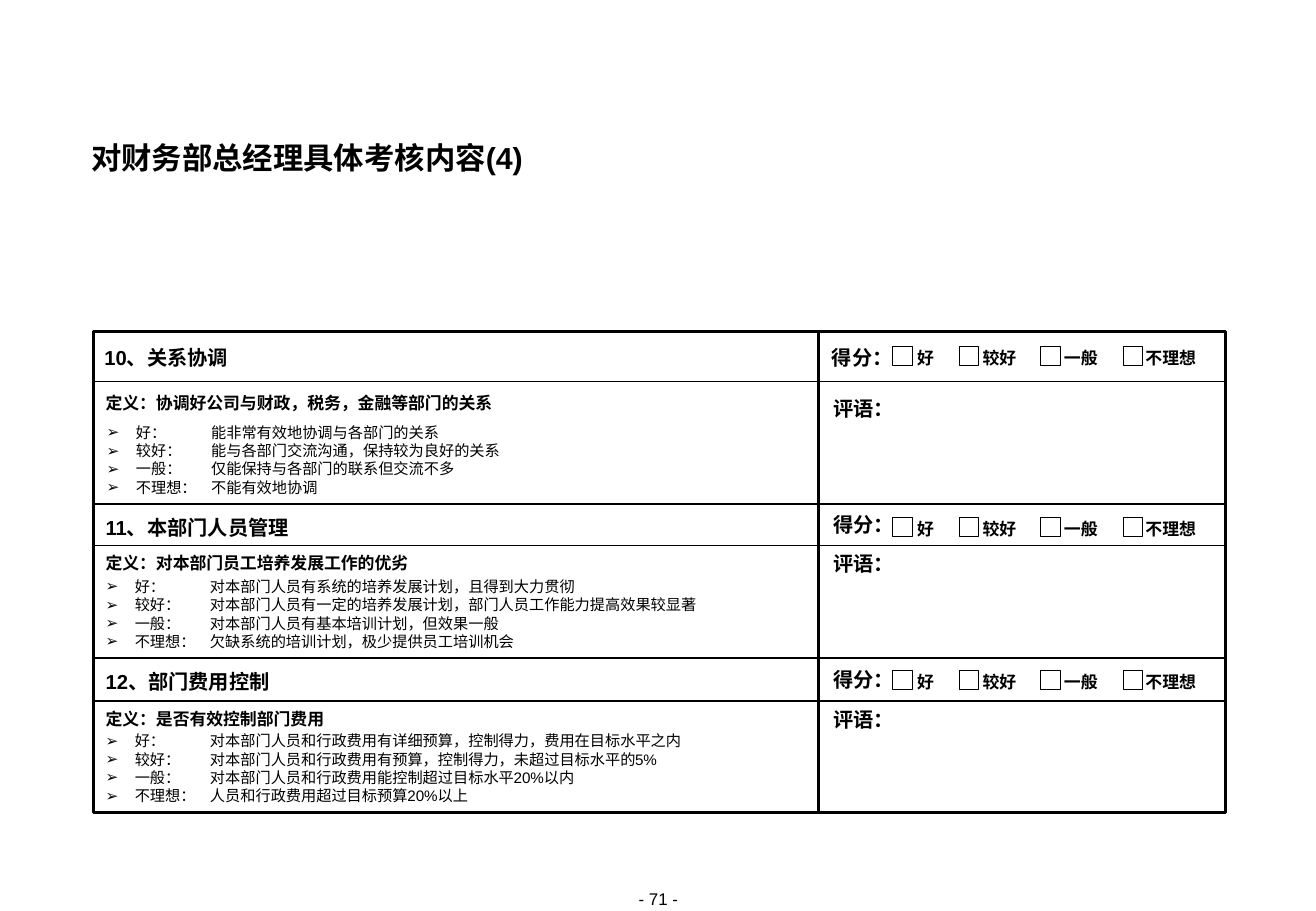
from dataclasses import dataclass
from typing import Optional, Union

from lxml.etree import SubElement
from pptx import Presentation
from pptx.dml.color import RGBColor
from pptx.enum.shapes import MSO_CONNECTOR as Connector, MSO_SHAPE as Preset
from pptx.enum.text import MSO_ANCHOR as Anchor, MSO_AUTO_SIZE as AutoSize, PP_ALIGN as Align
from pptx.oxml.ns import qn
from pptx.shapes.shapetree import GroupShapes, SlideShapes
from pptx.text.text import _Paragraph as Paragraph
from pptx.util import Pt

Shapes = Union[SlideShapes, GroupShapes]

BLACK = "000000"
WHITE = "FFFFFF"
FRAME_LEFT, FRAME_TOP, FRAME_WIDTH, FRAME_HEIGHT = 55.4, 196.6, 671, 285.1
DIVIDER_LEFT = 485.3
ROW_LINES = (226.1, 298.8, 323.3, 390.2, 415.4)
BOX_SIZE = 11.5


@dataclass(frozen=True)
class ScoreOption:
    label: str
    box_left: float
    label_left: float


@dataclass(frozen=True)
class Section:
    heading: str
    definition: str
    descriptions: tuple[str, str, str, str]
    heading_left: float
    heading_top: float
    score_left: float
    score_top: float
    boxes_top: float
    definition_top: float
    comment_top: float
    levels_left: float
    levels_top: float


OPTIONS = (
    ScoreOption("好", 529.2, 543.6),
    ScoreOption("较好", 568.8, 582.5),
    ScoreOption("一般", 617, 630.7),
    ScoreOption("不理想", 666, 679),
)

SECTIONS = (
    Section(
        "10、关系协调",
        "定义：协调好公司与财政，税务，金融等部门的关系",
        (
            "能非常有效地协调与各部门的关系",
            "能与各部门交流沟通，保持较为良好的关系",
            "仅能保持与各部门的联系但交流不多",
            "不能有效地协调",
        ),
        61.9, 204.5, 493.2, 204.5, 205.2, 232.6, 235.4, 62.6, 252,
    ),
    Section(
        "11、本部门人员管理",
        "定义：对本部门员工培养发展工作的优劣",
        (
            "对本部门人员有系统的培养发展计划，且得到大力贯彻",
            "对本部门人员有一定的培养发展计划，部门人员工作能力提高效果较显著",
            "对本部门人员有基本培训计划，但效果一般",
            "欠缺系统的培训计划，极少提供员工培训机会",
        ),
        62.6, 305.3, 493.9, 303.8, 306.7, 327.6, 327.6, 61.9, 343.4,
    ),
    Section(
        "12、部门费用控制",
        "定义：是否有效控制部门费用",
        (
            "对本部门人员和行政费用有详细预算，控制得力，费用在目标水平之内",
            "对本部门人员和行政费用有预算，控制得力，未超过目标水平的5%",
            "对本部门人员和行政费用能控制超过目标水平20%以内",
            "人员和行政费用超过目标预算20%以上",
        ),
        62.6, 396.7, 493.9, 395.3, 397.4, 419.8, 419.8, 61.9, 434.9,
    ),
)


def color(value: str) -> RGBColor:
    return RGBColor.from_string(value)


def add_bullet(paragraph: Paragraph) -> None:
    properties = paragraph._p.get_or_add_pPr()
    properties.set("marL", str(Pt(18)))
    properties.set("indent", str(Pt(-17.3)))
    bullet_color = SubElement(properties, qn("a:buClr"))
    SubElement(bullet_color, qn("a:srgbClr"), val=BLACK)
    SubElement(properties, qn("a:buFont"), typeface="Arial")
    SubElement(properties, qn("a:buChar"), char="➢")
    tabs = SubElement(properties, qn("a:tabLst"))
    SubElement(tabs, qn("a:tab"), pos=str(Pt(62.6)), algn="l")


def add_text(
    shapes: Shapes, text: str, left: float, top: float, width: float, height: float, *,
    size: float = 12, bold: bool = True, align: Align = Align.LEFT,
    anchor: Anchor = Anchor.TOP, wrap: bool = True, line_spacing: Optional[float] = None,
    space_before: float = 0, bullets: bool = False,
) -> None:
    frame = shapes.add_textbox(Pt(left), Pt(top), Pt(width), Pt(height)).text_frame
    frame.margin_left = frame.margin_top = frame.margin_right = frame.margin_bottom = 0
    frame.word_wrap = wrap
    frame.auto_size = AutoSize.SHAPE_TO_FIT_TEXT
    frame.vertical_anchor = anchor
    for index, line in enumerate(text.split("\n")):
        paragraph = frame.add_paragraph() if index else frame.paragraphs[0]
        paragraph.alignment = align
        if line_spacing is not None:
            paragraph.line_spacing = line_spacing
        if index:
            paragraph.space_before = Pt(space_before)
        if bullets:
            add_bullet(paragraph)
        run = paragraph.add_run()
        run.text = line
        run.font.name = "Arial"
        run.font.size = Pt(size)
        run.font.bold = bold
        run.font.color.rgb = color(BLACK)
        run._r.get_or_add_rPr().set("lang", "zh-CN")


def add_centered_label(
    shapes: Shapes, text: str, left: float, top: float, width: float, size: float
) -> None:
    add_text(shapes, text, left, top, width, 13.7, size=size, align=Align.CENTER,
             anchor=Anchor.MIDDLE, wrap=False, line_spacing=Pt(14))


def add_rectangle(
    shapes: Shapes, left: float, top: float, width: float, height: float,
    line_width: float, fill: Optional[str] = None,
) -> None:
    shape = shapes.add_shape(Preset.RECTANGLE, Pt(left), Pt(top), Pt(width), Pt(height))
    shape.shadow.inherit = False
    if fill is None:
        shape.fill.background()
    else:
        shape.fill.solid()
        shape.fill.fore_color.rgb = color(fill)
    shape.line.color.rgb = color(BLACK)
    shape.line.width = Pt(line_width)


def add_line(
    shapes: Shapes, x1: float, y1: float, x2: float, y2: float, width: float
) -> None:
    line = shapes.add_connector(Connector.STRAIGHT, Pt(x1), Pt(y1), Pt(x2), Pt(y2))
    line.line.color.rgb = color(BLACK)
    line.line.width = Pt(width)
    SubElement(line._element.spPr, qn("a:effectLst"))


def add_grid(shapes: SlideShapes) -> None:
    outline = shapes.add_group_shape().shapes
    add_rectangle(outline, FRAME_LEFT, FRAME_TOP, FRAME_WIDTH, FRAME_HEIGHT, 1.5)
    add_line(outline, DIVIDER_LEFT, FRAME_TOP, DIVIDER_LEFT, FRAME_TOP + FRAME_HEIGHT, 1.5)
    for y in ROW_LINES:
        add_line(shapes, FRAME_LEFT, y, FRAME_LEFT + FRAME_WIDTH, y, 1)


def add_section(shapes: SlideShapes, section: Section) -> None:
    add_text(shapes, section.heading, section.heading_left, section.heading_top, 272, 14.4)
    add_text(shapes, section.definition, 62.6, section.definition_top, 413.3, 12.2, size=10)
    levels = "\n".join(
        f"{option.label}：\t{description}"
        for option, description in zip(OPTIONS, section.descriptions)
    )
    add_text(shapes, levels, section.levels_left, section.levels_top, 414.7, 42.5,
             size=9, bold=False, line_spacing=0.9, space_before=1.1, bullets=True)
    add_text(shapes, "得分：", section.score_left, section.score_top, 39.6, 14.4)
    add_centered_label(shapes, "评语：", 493.9, section.comment_top, 36, 12)
    choices = shapes.add_group_shape().shapes
    for option in OPTIONS:
        add_rectangle(choices, option.box_left, section.boxes_top, BOX_SIZE, BOX_SIZE, 0.5, WHITE)
        add_centered_label(choices, option.label, option.label_left,
                           section.boxes_top - 1.2, 10 * len(option.label), 10)


def main() -> None:
    presentation = Presentation()
    presentation.slide_width = Pt(780.13)
    presentation.slide_height = Pt(540)
    slide = presentation.slides.add_slide(presentation.slide_layouts[6])
    add_text(slide.shapes, "对财务部总经理具体考核内容(4)", 54, 84.2, 671.8, 20.2,
             size=18, line_spacing=Pt(20))
    add_grid(slide.shapes)
    for section in SECTIONS:
        add_section(slide.shapes, section)
    add_text(slide.shapes, "- 71 -", 349.2, 527, 82, 12.2,
             size=10, bold=False, align=Align.CENTER)
    presentation.save("out.pptx")


if __name__ == "__main__":
    main()
